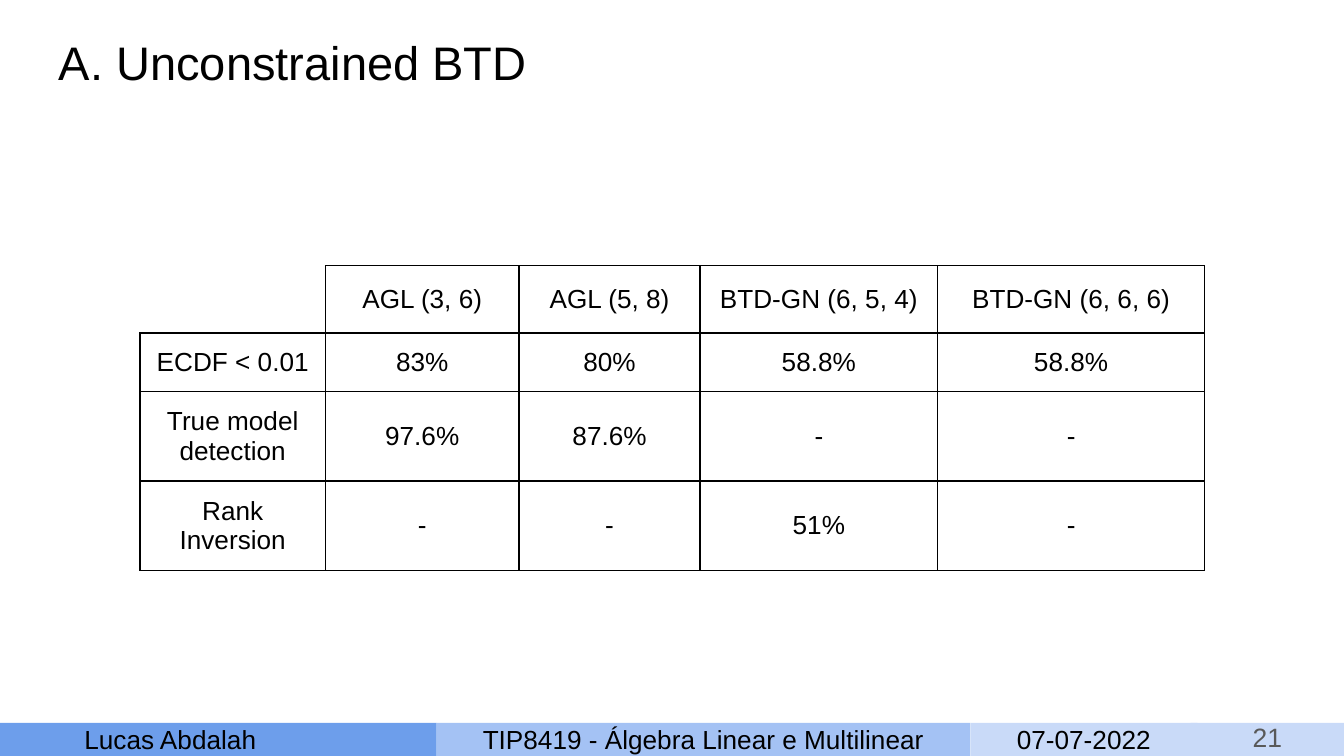
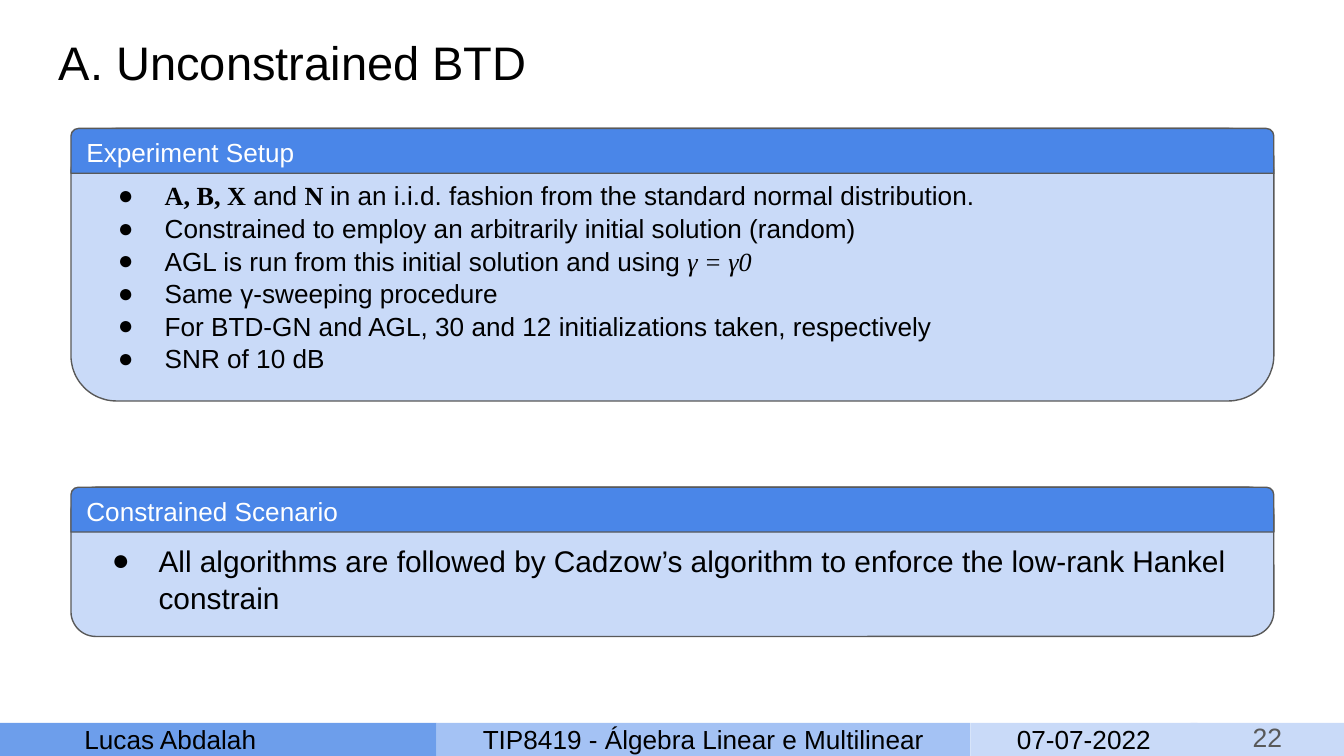
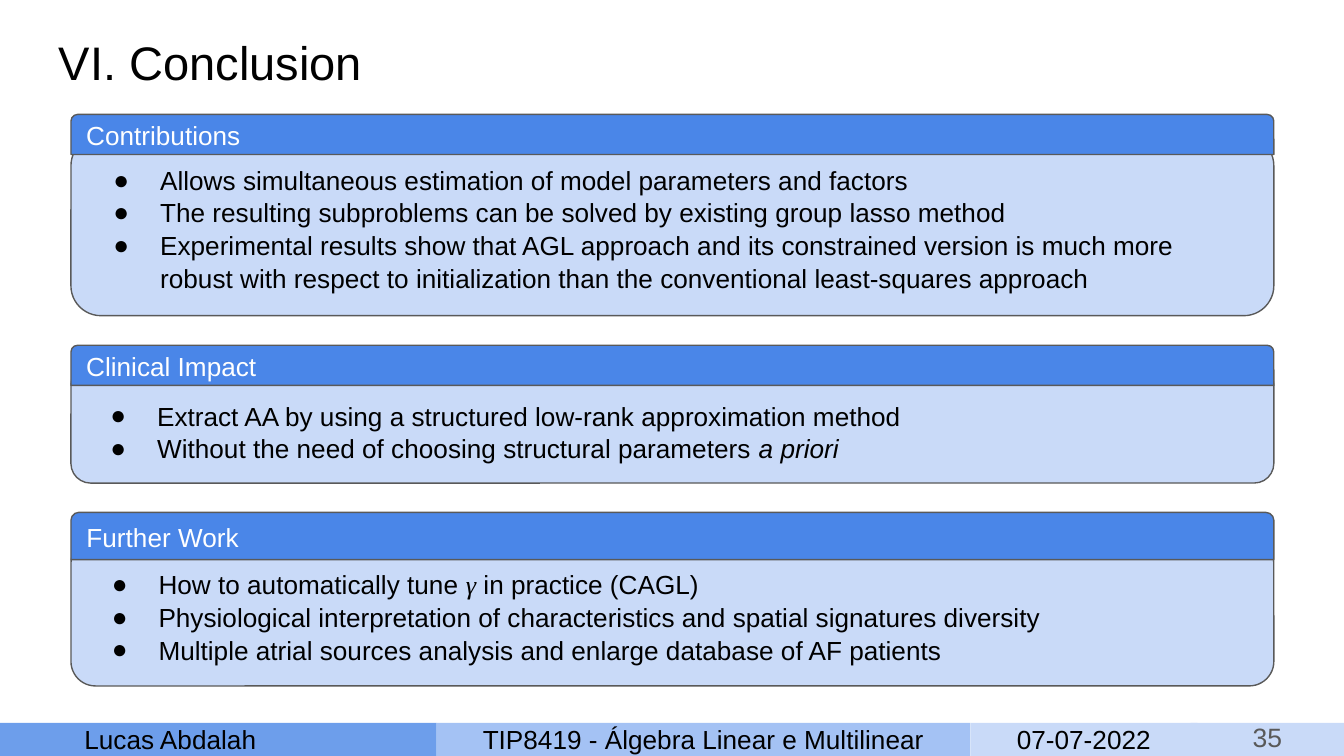
"""Builds three slides on block term decomposition results and conclusions."""
from lxml import etree
from pptx import Presentation
from pptx import util as u
from pptx.dml.color import RGBColor
from pptx.enum import shapes, text
from pptx.oxml.ns import qn

COLORS = {
    "ink": "000000", "white": "FFFFFF", "gray": "595959", "header": "4A86E8",
    "author": "6D9EEB", "course": "A4C2F4", "pale": "C9DAF8",
}
SANS, SERIF = "Arial", "Times New Roman"
INSET = 7.2
BODY_SIZE = 14
PANEL_LEFT, PANEL_WIDTH = 38, 644.4
FOOTER_TOP, FOOTER_HEIGHT = 387.3, 17.7
TITLE_BOX = (24.5, 10.8, 671, 45)
FOOTER_BANDS = [
    ("Lucas Abdalah", 0, 234, "author", 51.4),
    ("TIP8419 - Álgebra Linear e Multilinear", 234, 285.8, "course", 0),
    ("07-07-2022", 519.8, 121.7, "pale", 0),
]
NUMBER_LEFT, NUMBER_WIDTH = 637.9, 82.1


def rgb(name):
    """Return the named colour."""
    return RGBColor.from_string(COLORS[name])


def add_run(paragraph, words, size=BODY_SIZE, color="ink", font=SANS, bold=False, italic=False):
    """Append one styled run to a paragraph."""
    run = paragraph.add_run()
    run.text = words
    run.font.size = u.Pt(size)
    run.font.name = font
    run.font.bold = bold
    run.font.italic = italic
    run.font.color.rgb = rgb(color)


def prepare_frame(shape, anchor, extra_right=0):
    """Set wrapping, insets and anchor, and return the text frame."""
    frame = shape.text_frame
    frame.word_wrap = True
    frame.vertical_anchor = anchor
    frame.margin_left = frame.margin_top = frame.margin_bottom = u.Pt(INSET)
    frame.margin_right = u.Pt(INSET + extra_right)
    return frame


def add_box(container, kind, box, fill, outline=None):
    """Add a filled preset shape at a box given in points."""
    shape = container.shapes.add_shape(kind, *map(u.Pt, box))
    shape.shadow.inherit = False
    shape.fill.solid()
    shape.fill.fore_color.rgb = rgb(fill)
    if outline:
        shape.line.color.rgb = rgb(outline)
        shape.line.width = u.Pt(0.75)
    else:
        shape.line.fill.background()
    return shape


def add_bullet(paragraph):
    """Give a paragraph a hanging round bullet."""
    properties = paragraph._p.get_or_add_pPr()
    properties.set("marL", str(u.Pt(36)))
    properties.set("indent", str(-u.Pt(25)))
    color = etree.SubElement(properties, qn("a:buClr"))
    etree.SubElement(color, qn("a:srgbClr"), val=COLORS["ink"])
    etree.SubElement(properties, qn("a:buFont"), typeface=SANS)
    etree.SubElement(properties, qn("a:buChar"), char="●")


def add_footer_band(slide, words, left, width, fill, extra_right=0, size=BODY_SIZE,
                    color="ink", spacing=1.0):
    """Add one coloured footer band with centred text."""
    band = add_box(slide, shapes.MSO_SHAPE.RECTANGLE,
                   (left, FOOTER_TOP, width, FOOTER_HEIGHT), fill)
    paragraph = prepare_frame(band, text.MSO_ANCHOR.MIDDLE, extra_right).paragraphs[0]
    paragraph.alignment = text.PP_ALIGN.CENTER
    paragraph.line_spacing = spacing
    add_run(paragraph, words, size, color)


def add_base_slide(presentation, title, number):
    """Add a slide with its title and footer."""
    slide = presentation.slides.add_slide(presentation.slide_layouts[6])
    for band in FOOTER_BANDS:
        add_footer_band(slide, *band)
    title_box = slide.shapes.add_textbox(*map(u.Pt, TITLE_BOX))
    frame = prepare_frame(title_box, text.MSO_ANCHOR.TOP)
    add_run(frame.paragraphs[0], title, 25.2)
    add_footer_band(slide, str(number), NUMBER_LEFT, NUMBER_WIDTH, "pale",
                    size=14.2, color="gray", spacing=0.8)
    return slide


def add_panel(slide, heading, bullets, top, height, header_height, body_offset=0, size=BODY_SIZE):
    """Add a grouped panel: a rounded body of bullets under a header bar."""
    group = slide.shapes.add_group_shape()
    body = add_box(group, shapes.MSO_SHAPE.FLOWCHART_ALTERNATE_PROCESS,
                   (PANEL_LEFT, top + body_offset, PANEL_WIDTH, height - body_offset),
                   "pale", "gray")
    frame = prepare_frame(body, text.MSO_ANCHOR.BOTTOM)
    for index, runs in enumerate(bullets):
        paragraph = frame.add_paragraph() if index else frame.paragraphs[0]
        add_bullet(paragraph)
        paragraph.alignment = text.PP_ALIGN.LEFT
        paragraph.line_spacing = 1.04
        for words, style in runs:
            add_run(paragraph, words, size, **style)

    header = add_box(group, shapes.MSO_SHAPE.ROUND_2_SAME_RECTANGLE,
                     (PANEL_LEFT, top, PANEL_WIDTH, header_height), "header", "gray")
    paragraph = prepare_frame(header, text.MSO_ANCHOR.MIDDLE).paragraphs[0]
    paragraph.alignment = text.PP_ALIGN.LEFT
    add_run(paragraph, heading, color="white")


def set_borders(cell, visible_sides):
    """Draw the listed sides of a cell and hide the others."""
    properties = cell._tc.get_or_add_tcPr()
    for side in "LRTB":
        line = etree.SubElement(properties, qn(f"a:ln{side}"), w=str(u.Pt(0.75)))
        if side in visible_sides:
            fill = etree.SubElement(line, qn("a:solidFill"))
            etree.SubElement(fill, qn("a:srgbClr"), val=COLORS["ink"])
        else:
            etree.SubElement(line, qn("a:noFill"))


def add_results_table(slide, rows, left, top, column_widths, row_heights):
    """Add the bordered results table with an open top-left corner."""
    frame = slide.shapes.add_table(
        len(rows), len(column_widths), u.Pt(left), u.Pt(top),
        u.Pt(sum(column_widths)), u.Pt(sum(row_heights)))
    table = frame.table
    table.first_row = table.horz_banding = False
    for column, width in zip(table.columns, column_widths):
        column.width = u.Pt(width)
    for row, height in zip(table.rows, row_heights):
        row.height = u.Pt(height)
    for row_index, row in enumerate(rows):
        for column_index, content in enumerate(row):
            cell = table.cell(row_index, column_index)
            set_borders(cell, "LRTB" if content else "RB")
            cell.fill.background()
            cell.vertical_anchor = text.MSO_ANCHOR.MIDDLE
            cell.margin_left = cell.margin_right = u.Pt(INSET)
            cell.margin_top = cell.margin_bottom = u.Pt(INSET)
            lines = content.split("\n") if content else []
            for index, words in enumerate(lines):
                paragraph = (cell.text_frame.add_paragraph() if index
                             else cell.text_frame.paragraphs[0])
                paragraph.alignment = text.PP_ALIGN.CENTER
                add_run(paragraph, words)


def build_results(presentation):
    """Build the slide with the results table."""
    slide = add_base_slide(presentation, "A. Unconstrained BTD", 21)
    rows = [
        ["", "AGL (3, 6)", "AGL (5, 8)", "BTD-GN (6, 5, 4)", "BTD-GN (6, 6, 6)"],
        ["ECDF < 0.01", "83%", "80%", "58.8%", "58.8%"],
        ["True model\ndetection", "97.6%", "87.6%", "-", "-"],
        ["Rank Inversion", "-", "-", "51%", "-"],
    ]
    add_results_table(slide, rows, 75, 142.4, [99.4, 103.7, 97, 127.3, 143],
                      [34.6, 30, 46, 45.8])


def build_setup(presentation):
    """Build the slide on the experiment setup."""
    slide = add_base_slide(presentation, "A. Unconstrained BTD", 22)
    vector = {"font": SERIF, "bold": True}
    setup = [
        [("A, B, X", vector), (" and ", {}), ("N ", vector),
         ("in an i.i.d. fashion from the standard normal distribution.", {})],
        [("Constrained to employ an arbitrarily initial solution (random)", {})],
        [("AGL is run from this initial solution and using", {}),
         (" γ = γ0", {"font": SERIF, "italic": True})],
        [("Same γ-sweeping procedure", {})],
        [("For BTD-GN and AGL, 30 and 12 initializations taken, respectively", {})],
        [("SNR of 10 dB", {})],
    ]
    scenario = [[("All algorithms are followed by Cadzow’s algorithm to enforce "
                  "the low-rank Hankel constrain", {})]]
    add_panel(slide, "Experiment Setup", setup, 68.8, 146, 24)
    add_panel(slide, "Constrained Scenario", scenario, 261, 80, 24, size=16)


def build_conclusion(presentation):
    """Build the concluding slide with three panels."""
    slide = add_base_slide(presentation, "VI. Conclusion", 35)
    contributions = [
        [("Allows simultaneous estimation of model parameters and factors", {})],
        [("The resulting subproblems can be solved by existing group lasso method", {})],
        [("Experimental results show that AGL approach and its constrained version is "
          "much more robust with respect to initialization than the conventional "
          "least-squares approach", {})],
    ]
    impact = [
        [("Extract AA by using a structured low-rank approximation method", {})],
        [("Without the need of choosing structural parameters ", {}),
         ("a priori", {"italic": True})],
    ]
    further = [
        [("How to automatically tune ", {}), ("γ", {"font": SERIF, "italic": True}),
         (" in practice (CAGL)", {})],
        [("Physiological interpretation of characteristics and spatial signatures "
          "diversity", {})],
        [("Multiple atrial sources analysis and enlarge database of AF patients", {})],
    ]
    add_panel(slide, "Contributions", contributions, 61.3, 107.8, 21.5, 11.4)
    add_panel(slide, "Clinical Impact", impact, 185, 73.8, 21.5, 10.8)
    add_panel(slide, "Further Work", further, 274.5, 93, 25.3, 14.2)


def main():
    """Build and save the presentation."""
    presentation = Presentation()
    presentation.slide_width = u.Pt(720)
    presentation.slide_height = u.Pt(405)
    build_results(presentation)
    build_setup(presentation)
    build_conclusion(presentation)
    presentation.save("out.pptx")


if __name__ == "__main__":
    main()
